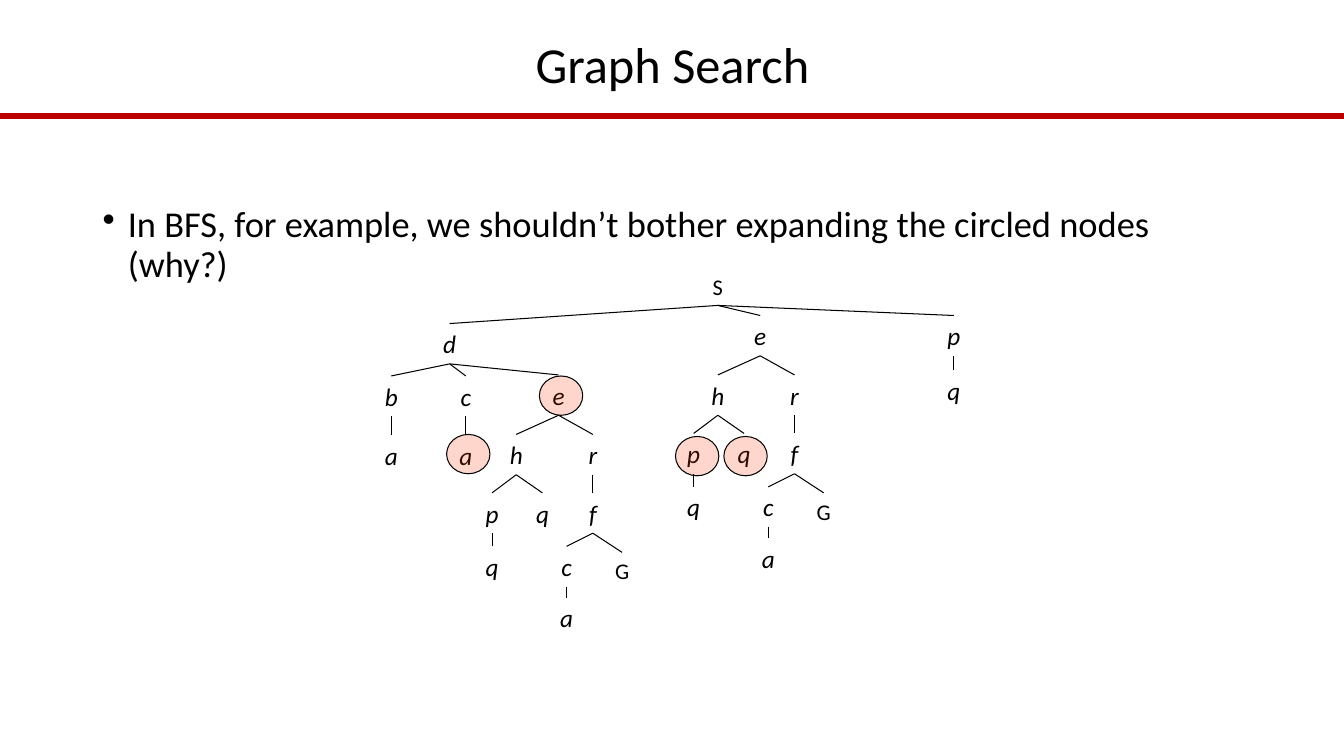
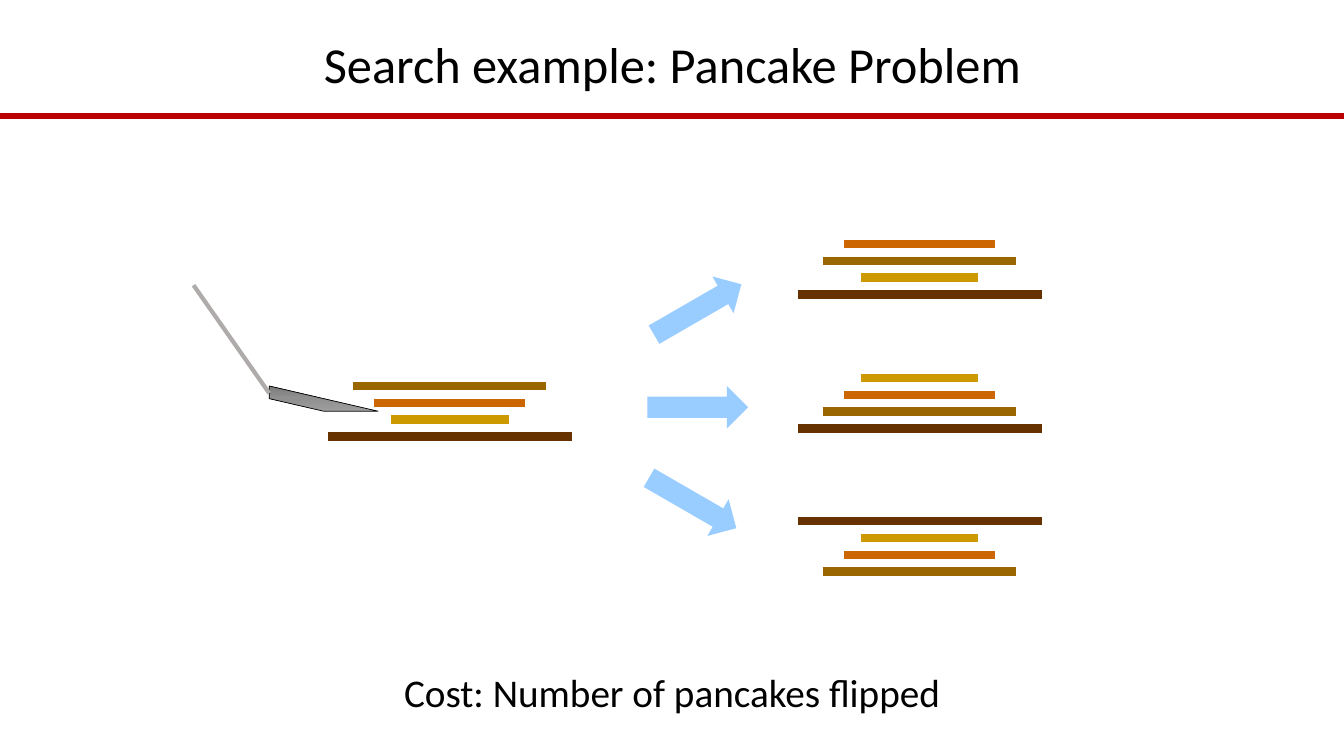
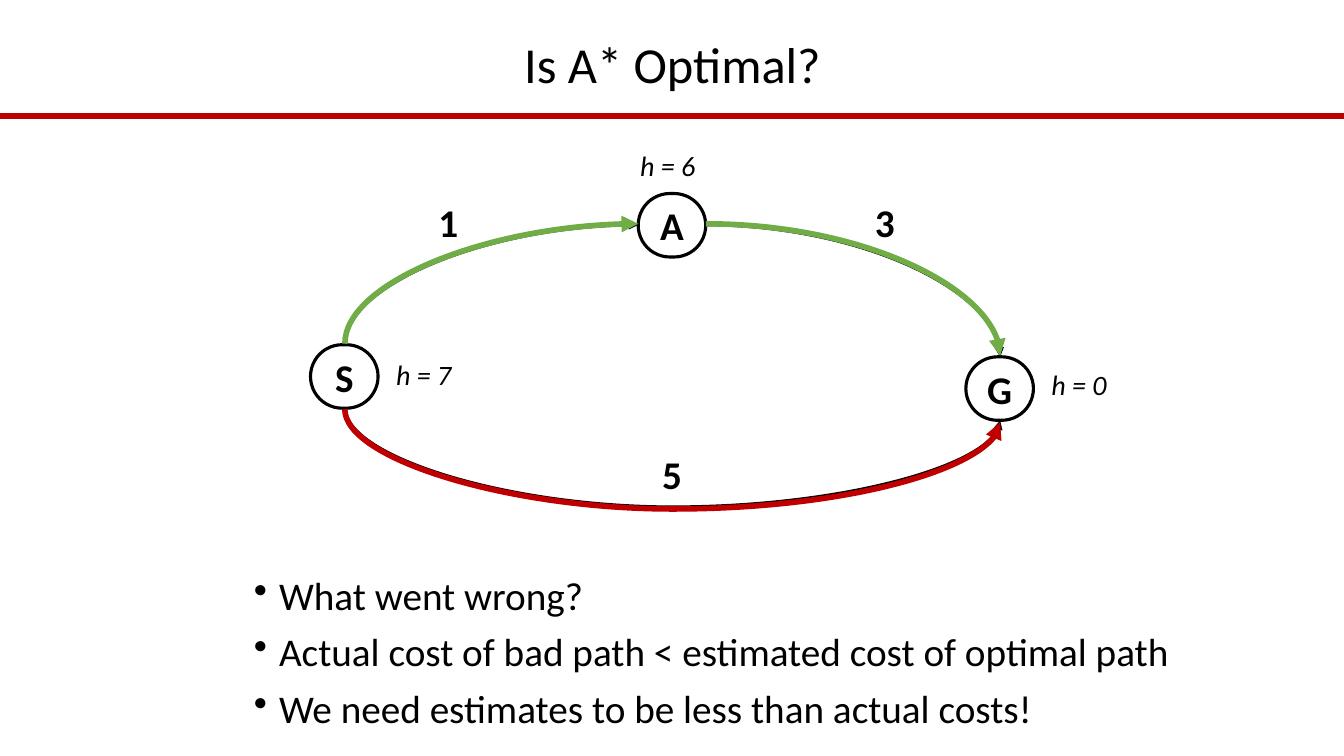
from copy import deepcopy
from dataclasses import dataclass
from typing import NamedTuple

from lxml.etree import SubElement
from pptx import Presentation
from pptx.dml.color import RGBColor
from pptx.enum.shapes import MSO_CONNECTOR, MSO_SHAPE
from pptx.enum.text import MSO_ANCHOR, PP_ALIGN
from pptx.oxml.ns import qn
from pptx.shapes.autoshape import Shape
from pptx.shapes.connector import Connector
from pptx.slide import Slide
from pptx.util import Inches, Pt

FONT = "Calibri"
COLORS = {
    "ink": "000000",
    "title rule": "BB0000",
    "circle": "FF3300",
    "arrow": "99CCFF",
    "handle": "AFABAB",
    "good road": "70AD47",
    "bad road": "C00000",
    "small pancake": "CC9900",
    "medium pancake": "CC6600",
    "large pancake": "996600",
    "huge pancake": "663300",
}
BLADE_STOPS = ((0, "9D9D9D"), (0.5, "909090"), (1, "7C7C7C"))
PANCAKE_WIDTHS = {"small": 1.17, "medium": 1.5, "large": 1.92, "huge": 2.42}
PANCAKE_STEP = 0.5 / 3
SLIDE_WIDTH, SLIDE_HEIGHT = 13.33, 7.5


class Point(NamedTuple):
    x: float
    y: float


class Box(NamedTuple):
    left: float
    top: float
    width: float
    height: float


@dataclass(frozen=True)
class TextStyle:
    size: float
    bold: bool = False
    italic: bool = False
    align: PP_ALIGN = PP_ALIGN.CENTER
    line_spacing: float = 1.0
    space_before: float = 0
    bullet: bool = False


TITLE = TextStyle(36, line_spacing=0.9)
CAPTION = TextStyle(28)
TREE_STATE = TextStyle(18, italic=True)
TREE_END = TextStyle(16)
GRAPH_NODE = TextStyle(28, bold=True)
ROAD_COST = TextStyle(28, bold=True, align=PP_ALIGN.LEFT)
HEURISTIC = TextStyle(20, italic=True, align=PP_ALIGN.LEFT)


def bullets(size: float) -> TextStyle:
    return TextStyle(size, align=PP_ALIGN.LEFT, line_spacing=0.9, space_before=10, bullet=True)


@dataclass(frozen=True)
class TreeNode:
    """A search state; x is its centre and y the top of its label."""
    label: str
    x: float
    y: float
    children: tuple["TreeNode", ...] = ()
    style: TextStyle = TREE_STATE

    @property
    def height(self) -> float:
        return 0.4 if self.style.size == 18 else 0.37


@dataclass(frozen=True)
class Stack:
    center: float
    top: float
    pancakes: tuple[str, ...]


@dataclass(frozen=True)
class Arrow:
    left: float
    top: float
    rotation: float


@dataclass(frozen=True)
class Road:
    """A curved arrow; shift is how far its coloured line lies below the black one."""
    start: Point
    end: Point
    color: str
    shift: float
    geometry: str = "curvedConnector2"
    turn: int = 0
    flips: tuple[str, ...] = ()
    bend: float | None = None


def color(name: str) -> RGBColor:
    return RGBColor.from_string(COLORS[name])


def add_text(page: Slide, box: Box, lines: list[str], style: TextStyle) -> Shape:
    shape = page.shapes.add_textbox(*map(Inches, box))
    shape.text_frame.word_wrap = True
    write(shape, lines, style)
    return shape


def write(shape: Shape, lines: list[str], style: TextStyle) -> None:
    frame = shape.text_frame
    for number, line in enumerate(lines):
        para = frame.add_paragraph() if number else frame.paragraphs[0]
        para.add_run().text = line
        if style.bullet:
            properties = para._p.get_or_add_pPr()
            properties.set("marL", str(Inches(0.25)))
            properties.set("indent", str(Inches(-0.25)))
            SubElement(properties, qn("a:buChar")).set("char", "•")
        para.alignment = style.align
        para.line_spacing = style.line_spacing
        if number:
            para.space_before = Pt(style.space_before)
        font = para.font
        font.name, font.size = FONT, Pt(style.size)
        font.bold, font.italic = style.bold, style.italic
        font.color.rgb = color("ink")


def add_line(page: Slide, start: Point, end: Point, line_color: str, width: float,
             kind: MSO_CONNECTOR = MSO_CONNECTOR.STRAIGHT) -> Connector:
    line = page.shapes.add_connector(kind, *map(Inches, (*start, *end)))
    line.line.color.rgb = color(line_color)
    line.line.width = Pt(width)
    SubElement(line._element.spPr, qn("a:effectLst"))
    return line


def add_shape(page: Slide, kind: MSO_SHAPE, box: Box, line_width: float = 0) -> Shape:
    """Add an unfilled shape, outlined only when a line width is given."""
    shape = page.shapes.add_shape(kind, *map(Inches, box))
    shape.shadow.inherit = False
    shape.fill.background()
    if line_width:
        shape.line.color.rgb = color("ink")
        shape.line.width = Pt(line_width)
    else:
        shape.line.fill.background()
    return shape


def add_page(deck: Presentation, title: str) -> Slide:
    page = deck.slides.add_slide(deck.slide_layouts[6])
    add_line(page, Point(0, 1.15), Point(SLIDE_WIDTH, 1.15), "title rule", 4)
    heading = add_text(page, Box(0.92, 0.34, 11.5, 0.66), [title], TITLE)
    heading.text_frame.vertical_anchor = MSO_ANCHOR.MIDDLE
    return page


def expanded_e(x: float, y: float) -> TreeNode:
    """The subtree under state e, which the search tree holds twice."""
    return TreeNode("e", x, y, (
        TreeNode("h", x - 0.42, y + 0.59, (
            TreeNode("p", x - 0.66, y + 1.17, (TreeNode("q", x - 0.66, y + 1.7),)),
            TreeNode("q", x - 0.16, y + 1.17),
        )),
        TreeNode("r", x + 0.34, y + 0.59, (
            TreeNode("f", x + 0.34, y + 1.17, (
                TreeNode("c", x + 0.08, y + 1.7, (TreeNode("a", x + 0.08, y + 2.21),)),
                TreeNode("G", x + 0.63, y + 1.76, style=TREE_END),
            )),
        )),
    ))


def draw_tree(page: Slide, node: TreeNode) -> None:
    box = Box(node.x - 0.21, node.y, 0.42, node.height)
    add_text(page, box, [node.label], node.style)
    for child in node.children:
        add_line(page, Point(node.x, node.y + node.height), Point(child.x, child.y), "ink", 0.75)
        draw_tree(page, child)


def draw_circle(page: Slide, corner: Point) -> None:
    circle = add_shape(page, MSO_SHAPE.OVAL, Box(*corner, 0.43, 0.39), 0.75)
    circle.fill.solid()
    circle.fill.fore_color.rgb = color("circle")
    tint = circle._element.spPr.find(qn("a:solidFill")).find(qn("a:srgbClr"))
    SubElement(tint, qn("a:alpha")).set("val", "20000")


def draw_stack(page: Slide, stack: Stack) -> None:
    for level, pancake in enumerate(stack.pancakes):
        y = stack.top + level * PANCAKE_STEP
        half = PANCAKE_WIDTHS[pancake] / 2
        add_line(page, Point(stack.center - half, y), Point(stack.center + half, y),
                 f"{pancake} pancake", 6)


def draw_spatula(page: Slide) -> None:
    blade = add_shape(page, MSO_SHAPE.DIAGONAL_STRIPE, Box(2.67, 3.83, 1.08, 0.25), 0.5)
    properties = blade._element.spPr
    properties.find(qn("a:xfrm")).set("flipV", "1")
    blade.fill.gradient()
    blade.fill.gradient_angle = 270
    stop_list = properties.find(qn("a:gradFill")).find(qn("a:gsLst"))
    stop_list.insert(1, deepcopy(stop_list[0]))
    for stop, (position, shade) in zip(blade.fill.gradient_stops, BLADE_STOPS):
        stop.position = position
        stop.color.rgb = RGBColor.from_string(shade)
    add_line(page, Point(2.67, 3.9), Point(1.92, 2.83), "handle", 3)


def draw_arrow(page: Slide, arrow: Arrow) -> None:
    shape = add_shape(page, MSO_SHAPE.RIGHT_ARROW, Box(arrow.left, arrow.top, 1, 0.42))
    shape.rotation = arrow.rotation
    shape.fill.solid()
    shape.fill.fore_color.rgb = color("arrow")


def draw_road(page: Slide, road: Road, line_color: str, width: float, shift: float = 0) -> None:
    """Draw a road; a quarter turn swaps the sides of its box around the centre."""
    center = Point((road.start.x + road.end.x) / 2, (road.start.y + road.end.y) / 2 + shift)
    across, down = abs(road.end.x - road.start.x) / 2, abs(road.end.y - road.start.y) / 2
    if road.turn:
        across, down = down, across
    line = add_line(page, Point(center.x - across, center.y - down),
                    Point(center.x + across, center.y + down),
                    line_color, width, MSO_CONNECTOR.CURVE)
    properties = line._element.spPr
    frame = properties.find(qn("a:xfrm"))
    frame.set("rot", str(road.turn * 60000))
    for flip in road.flips:
        frame.set(flip, "1")
    geometry = properties.find(qn("a:prstGeom"))
    geometry.set("prst", road.geometry)
    if road.bend is not None:
        guide = SubElement(geometry.find(qn("a:avLst")), qn("a:gd"))
        guide.set("name", "adj1")
        guide.set("fmla", f"val {round(road.bend * 100000)}")
    SubElement(properties.find(qn("a:ln")), qn("a:tailEnd")).set("type", "triangle")


def draw_graph_node(page: Slide, label: str, corner: Point) -> None:
    node = add_shape(page, MSO_SHAPE.ROUNDED_RECTANGLE, Box(*corner, 0.67, 0.63), 2.25)
    node.adjustments[0] = 0.5
    node.text_frame.word_wrap = False
    node.text_frame.vertical_anchor = MSO_ANCHOR.MIDDLE
    write(node, [label], GRAPH_NODE)


def graph_search(deck: Presentation) -> None:
    page = add_page(deck, "Graph Search")
    add_text(page, Box(0.92, 2, 11.5, 4.76),
             ["In BFS, for example, we shouldn’t bother expanding the circled nodes (why?)"],
             bullets(26))
    draw_tree(page, TreeNode("S", 7.12, 2.66, (
        TreeNode("d", 4.46, 3.21, (
            TreeNode("b", 3.88, 3.73, (TreeNode("a", 3.88, 4.32),)),
            TreeNode("c", 4.62, 3.73, (TreeNode("a", 4.62, 4.32),)),
            expanded_e(5.54, 3.72),
        )),
        expanded_e(7.54, 3.13),
        TreeNode("p", 9.46, 3.13, (TreeNode("q", 9.46, 3.67),)),
    ), TREE_END))
    for corner in (Point(5.35, 3.73), Point(6.7, 4.33), Point(4.43, 4.31), Point(7.18, 4.33)):
        draw_circle(page, corner)


def pancake_problem(deck: Presentation) -> None:
    page = add_page(deck, "Search example: Pancake Problem")
    for stack in (
        Stack(4.46, 3.83, ("large", "medium", "small", "huge")),
        Stack(9.12, 2.42, ("medium", "large", "small", "huge")),
        Stack(9.12, 3.75, ("small", "medium", "large", "huge")),
        Stack(9.12, 5.17, ("huge", "small", "medium", "large")),
    ):
        draw_stack(page, stack)
    draw_spatula(page)
    for arrow in (Arrow(6.42, 2.86, 330), Arrow(6.42, 3.83, 0), Arrow(6.37, 4.78, 30)):
        draw_arrow(page, arrow)
    add_text(page, Box(0, 6.58, SLIDE_WIDTH, 0.57), ["Cost: Number of pancakes flipped"], CAPTION)


def a_star_optimality(deck: Presentation) -> None:
    page = add_page(deck, "Is A* Optimal?")
    add_text(page, Box(2.42, 5.67, 10.47, 1.69), [
        "What went wrong?",
        "Actual cost of bad path < estimated cost of optimal path",
        "We need estimates to be less than actual costs!",
    ], bullets(28))
    for label, corner in (("A", Point(6.33, 1.92)), ("G", Point(9.58, 3.54)),
                          ("S", Point(3.08, 3.42))):
        draw_graph_node(page, label, corner)
    for label, box, style in (
        ("1", Box(4.25, 1.92, 0.5, 0.57), ROAD_COST),
        ("3", Box(8.58, 1.92, 0.5, 0.57), ROAD_COST),
        ("5", Box(0, 4.42, SLIDE_WIDTH, 0.57), GRAPH_NODE),
        ("h = 6", Box(6.25, 1.42, 1, 0.44), HEURISTIC),
        ("h = 0", Box(10.33, 3.6, 1, 0.44), HEURISTIC),
        ("h = 7", Box(3.83, 3.5, 0.83, 0.44), HEURISTIC),
    ):
        add_text(page, box, [label], style)
    roads = (
        Road(Point(3.42, 4.04), Point(9.92, 4.17), "bad road", 0.02,
             "curvedConnector3", 270, ("flipH",), 7.62),
        Road(Point(3.42, 3.42), Point(6.33, 2.23), "good road", -0.01,
             turn=90, flips=("flipH", "flipV")),
        Road(Point(7, 2.23), Point(9.92, 3.54), "good road", -0.01),
    )
    for road in roads:
        draw_road(page, road, "ink", 2.25)
    for road in roads:
        draw_road(page, road, road.color, 4, road.shift)


def main() -> None:
    deck = Presentation()
    deck.slide_width, deck.slide_height = Inches(SLIDE_WIDTH), Inches(SLIDE_HEIGHT)
    graph_search(deck)
    pancake_problem(deck)
    a_star_optimality(deck)
    deck.save("out.pptx")


if __name__ == "__main__":
    main()
